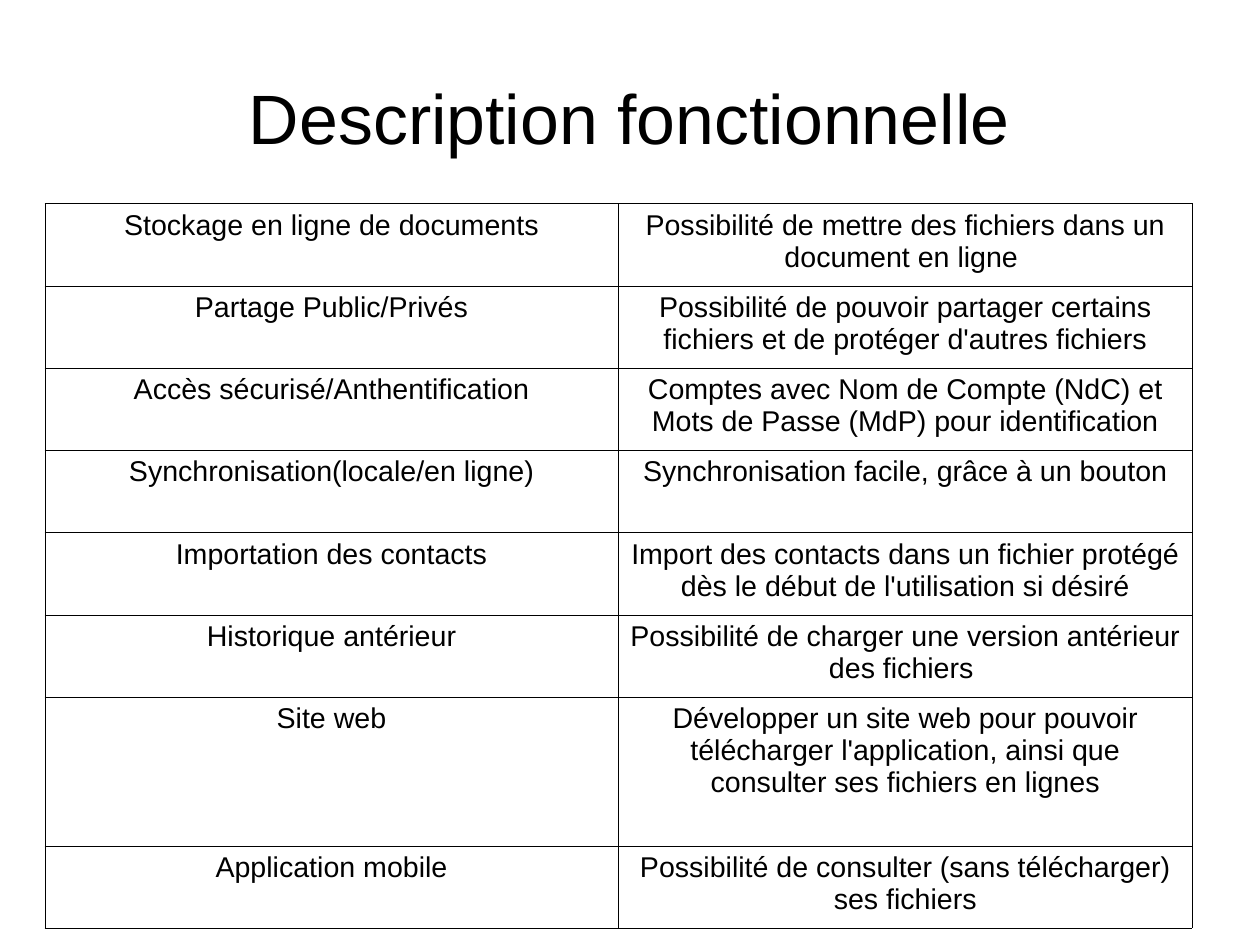
from lxml import etree
from pptx import Presentation, util as u
from pptx.dml.color import RGBColor
from pptx.enum import text
from pptx.oxml import ns

COLORS = {"ink": "000000", "paper": "FFFFFF"}
ROWS = [
    ("Stockage en ligne de documents",
     "Possibilité de mettre des fichiers dans un document en ligne "),
    ("Partage Public/Privés",
     "Possibilité de pouvoir partager certains fichiers et de protéger d'autres fichiers"),
    ("Accès sécurisé/Anthentification",
     "Comptes avec Nom de Compte (NdC) et Mots de Passe (MdP) pour identification"),
    ("Synchronisation(locale/en ligne)",
     "Synchronisation facile, grâce à un bouton"),
    ("Importation des contacts",
     "Import des contacts dans un fichier protégé dès le début de l'utilisation si désiré"),
    ("Historique antérieur",
     "Possibilité de charger une version antérieur des fichiers "),
    ("Site web",
     "Développer un site web pour pouvoir télécharger l'application, "
     "ainsi que consulter ses fichiers en lignes"),
    ("Application mobile",
     "Possibilité de consulter (sans télécharger) ses fichiers"),
]
HIGH = {"Site web": 1.3}  # the only row taller than the rest
heights = [HIGH.get(name, 0.72) for name, note in ROWS]


def write(frame, words, size):
    frame.text = words
    para = frame.paragraphs[0]
    para.alignment = text.PP_ALIGN.CENTER
    font = para.runs[0].font
    for key, val in {"name": "Arial", "size": u.Pt(size), "bold": False}.items():
        setattr(font, key, val)
    font.color.rgb = RGBColor.from_string(COLORS["ink"])


def border(cell):
    props = cell._tc.get_or_add_tcPr()
    for side in ("a:lnL", "a:lnR", "a:lnT", "a:lnB"):
        line = etree.SubElement(props, ns.qn(side), w=str(u.Pt(0.06)))
        fill = etree.SubElement(line, ns.qn("a:solidFill"))
        etree.SubElement(fill, ns.qn("a:srgbClr"), val=COLORS["ink"])


# Slide, 28 by 21 cm
deck = Presentation()
deck.slide_width = u.Cm(28)
deck.slide_height = u.Cm(21)
slide = deck.slides.add_slide(deck.slide_layouts[5])

# Title
title = slide.shapes.title
for key, val in {"left": 0.55, "top": 0.33, "width": 9.92, "height": 1.38}.items():
    setattr(title, key, u.Inches(val))
frame = title.text_frame
for key, val in {"margin_left": 0, "margin_right": 0, "margin_top": 0,
                 "margin_bottom": 0, "word_wrap": True,
                 "vertical_anchor": text.MSO_ANCHOR.MIDDLE}.items():
    setattr(frame, key, val)
write(frame, "Description fonctionnelle", 44)

# Table of functions
table = slide.shapes.add_table(
    len(ROWS), 2, u.Inches(0.39), u.Inches(1.78),
    u.Inches(10.04), u.Inches(sum(heights))).table
table.first_row = table.horz_banding = False
for row, height, pair in zip(table.rows, heights, ROWS):
    row.height = u.Inches(height)
    for cell, words in zip(row.cells, pair):
        border(cell)
        cell.fill.solid()
        cell.fill.fore_color.rgb = RGBColor.from_string(COLORS["paper"])
        write(cell.text_frame, words, 18)

deck.save("out.pptx")
